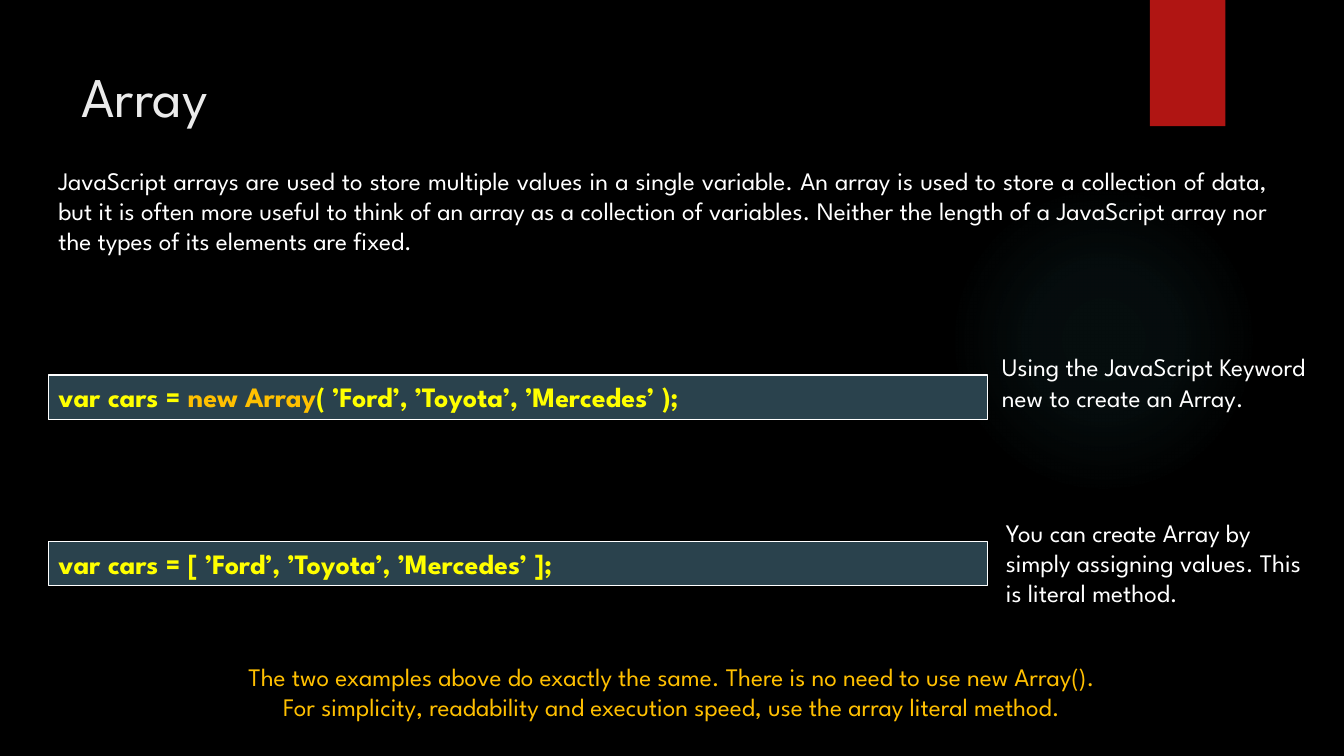
"""Build the slide that introduces JavaScript arrays."""
from lxml.etree import SubElement
from pptx import Presentation
from pptx.dml.color import RGBColor
from pptx.enum.shapes import MSO_SHAPE
from pptx.enum.text import MSO_ANCHOR, MSO_AUTO_SIZE, PP_ALIGN
from pptx.oxml import parse_xml
from pptx.oxml.ns import nsdecls, qn
from pptx.util import Cm, Pt

FONT = "League Spartan"
BLACK, WHITE, TITLE_GREY = "000000", "FFFFFF", "EBEBEB"
RED, SLATE, YELLOW, AMBER, TEAL = "B01513", "2A424D", "FFFF00", "FFC000", "50B9C1"

TITLE = "Array"
GLOW_BOX = (23.9, 4.65, 7.82, 7.82)
GLOW_STOPS = [(0, 7), (36, 6), (69, 0)]
RIBBON_BOX = (28.98, 0, 1.9, 3.18)
TITLE_BOX = (1.8, 1.27, 27.33, 2.24)

TEXTS = [
    ((1.22, 4.04, 30.99, 2.57), PP_ALIGN.JUSTIFY, WHITE, [
        "JavaScript arrays are used to store multiple values in a single variable. "
        "An array is used to store a collection of data, but it is often more useful "
        "to think of an array as a collection of variables. Neither the length of a "
        "JavaScript array nor the types of its elements are fixed."]),
    ((25, 8.74, 8.33, 2.57), PP_ALIGN.LEFT, WHITE, [
        "Using the JavaScript Keyword new to create an Array."]),
    ((25.1, 12.9, 8.15, 2.57), PP_ALIGN.LEFT, WHITE, [
        "You can create Array by simply assigning values. This is literal method."]),
    ((1.22, 16.54, 31.42, 1.8), PP_ALIGN.CENTER, AMBER, [
        "The two examples above do exactly the same. There is no need to use new Array().",
        "For simplicity, readability and execution speed, use the array literal method."]),
]
CODE_LEFT, CODE_WIDTH, CODE_HEIGHT = 1.22, 23.67, 1.12
CODE_LINES = [
    (9.45, [("var cars = ", YELLOW), ("new Array", AMBER),
            ("( ’Ford’, ’Toyota’, ’Mercedes’ );", YELLOW)]),
    (13.64, [("var cars = [ ’Ford’, ’Toyota’, ’Mercedes’ ];", YELLOW)]),
]


def color(value):
    return RGBColor.from_string(value)


def lengths(box):
    return [Cm(length) for length in box]


def style_run(run, size, value, bold=False):
    run.font.name = FONT
    run.font.size = Pt(size)
    run.font.bold = bold
    run.font.color.rgb = color(value)


def add_filled(slide, preset, box, fill):
    shape = slide.shapes.add_shape(preset, *lengths(box))
    shape.shadow.inherit = False
    shape.fill.solid()
    shape.fill.fore_color.rgb = color(fill)
    shape.line.fill.background()
    return shape


def add_glow(slide):
    glow = add_filled(slide, MSO_SHAPE.OVAL, GLOW_BOX, TEAL)
    gradient = parse_xml(f'<a:gradFill {nsdecls("a")} rotWithShape="1"><a:gsLst/>'
                         '<a:path path="circle"><a:fillToRect l="50000" t="50000" '
                         'r="50000" b="50000"/></a:path></a:gradFill>')
    for position, opacity in GLOW_STOPS:
        stop = SubElement(gradient[0], qn("a:gs"), pos=str(position * 1000))
        tint = SubElement(stop, qn("a:srgbClr"), val=TEAL)
        SubElement(tint, qn("a:alpha"), val=str(opacity * 1000))
    properties = glow.element.spPr
    properties.replace(properties.find(qn("a:solidFill")), gradient)


def add_title(slide):
    title = slide.shapes.title
    title.left, title.top, title.width, title.height = lengths(TITLE_BOX)
    frame = title.text_frame
    frame.text = TITLE
    frame.auto_size = MSO_AUTO_SIZE.NONE
    frame.vertical_anchor = MSO_ANCHOR.MIDDLE
    frame.paragraphs[0].alignment = PP_ALIGN.LEFT
    style_run(frame.paragraphs[0].runs[0], 40, TITLE_GREY)


def add_text(slide, box, alignment, value, lines):
    frame = slide.shapes.add_textbox(*lengths(box)).text_frame
    frame.word_wrap = True
    frame.text = "\n".join(lines)
    for paragraph in frame.paragraphs:
        paragraph.alignment = alignment
        style_run(paragraph.runs[0], 18, value)


def add_code(slide, top, parts):
    box = (CODE_LEFT, top, CODE_WIDTH, CODE_HEIGHT)
    shape = add_filled(slide, MSO_SHAPE.RECTANGLE, box, SLATE)
    shape.line.color.rgb = color(WHITE)
    shape.line.width = Pt(1)
    frame = shape.text_frame
    frame.word_wrap = True
    frame.vertical_anchor = MSO_ANCHOR.TOP
    paragraph = frame.paragraphs[0]
    paragraph.alignment = PP_ALIGN.LEFT
    for text, value in parts:
        run = paragraph.add_run()
        run.text = text
        style_run(run, 20, value, bold=True)


def main():
    presentation = Presentation()
    presentation.slide_width, presentation.slide_height = Cm(33.87), Cm(19.05)
    slide = presentation.slides.add_slide(presentation.slide_layouts[5])
    slide.background.fill.solid()
    slide.background.fill.fore_color.rgb = color(BLACK)
    add_glow(slide)
    add_filled(slide, MSO_SHAPE.RECTANGLE, RIBBON_BOX, RED)
    add_title(slide)
    for top, parts in CODE_LINES:
        add_code(slide, top, parts)
    for text in TEXTS:
        add_text(slide, *text)
    presentation.save("out.pptx")


if __name__ == "__main__":
    main()
